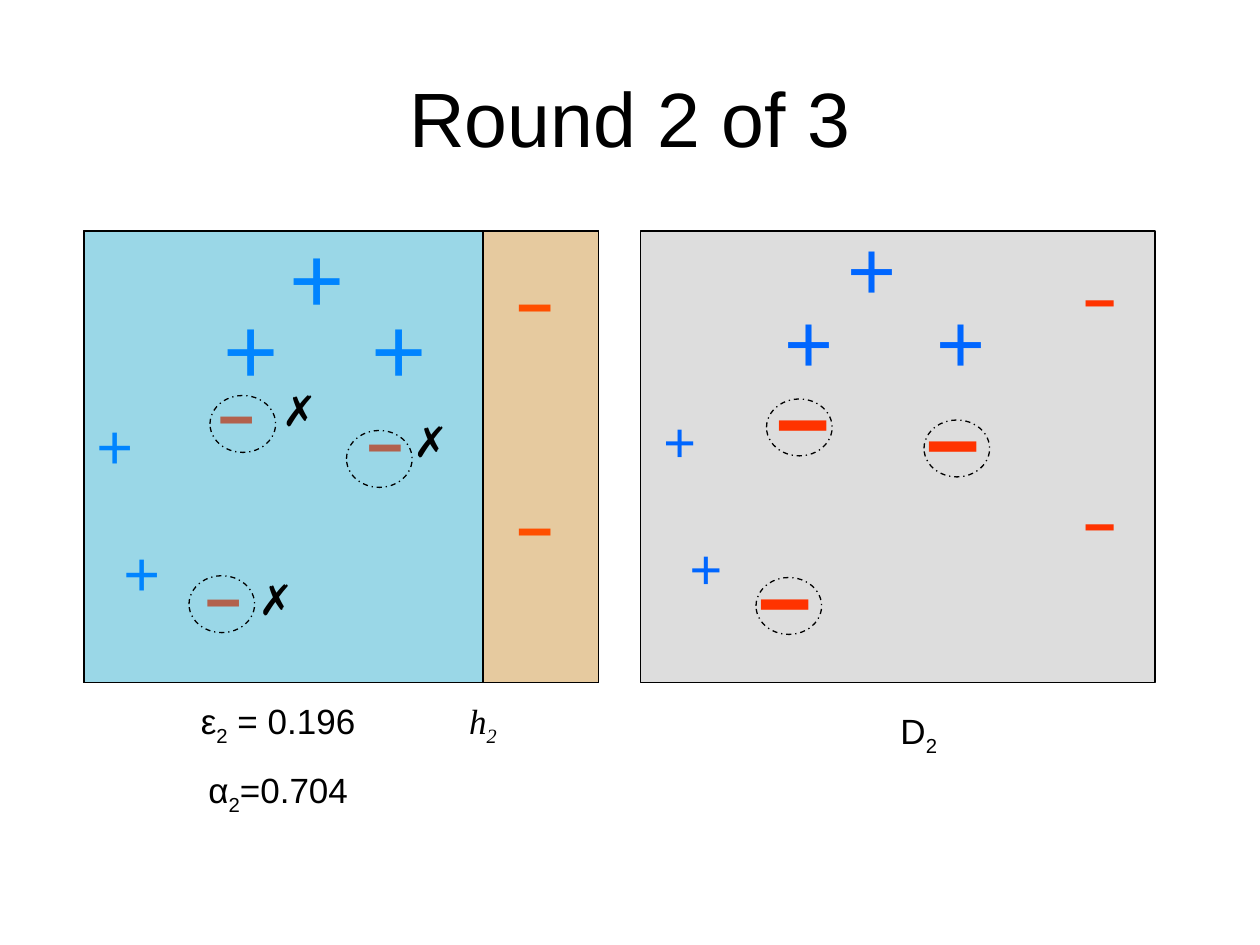
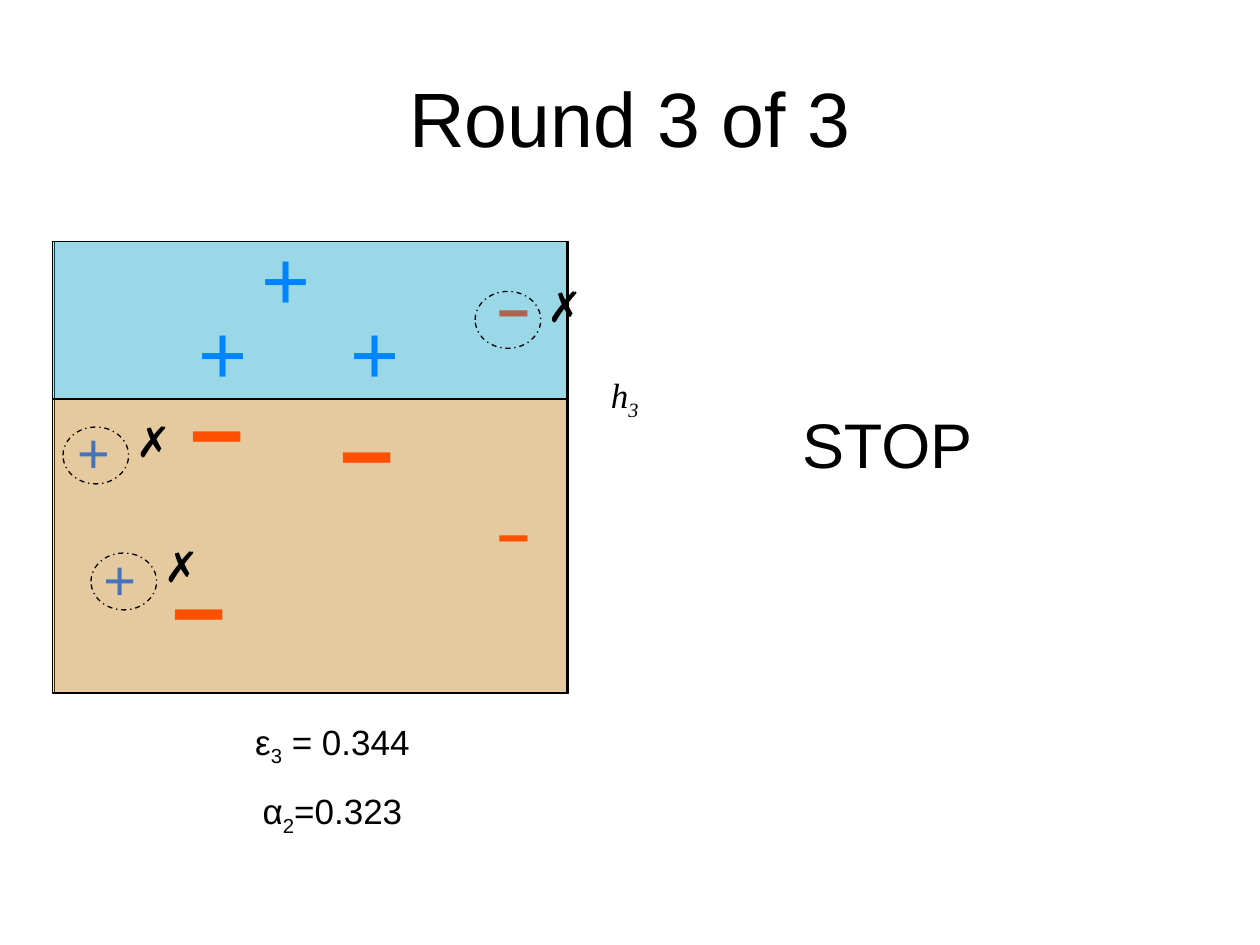
import pptx
import pptx.util
import pptx.dml.color
import pptx.enum.dml
import pptx.enum.shapes
import pptx.enum.text
import pptx.oxml
import pptx.oxml.ns

Pt = pptx.util.Pt
RGB = pptx.dml.color.RGBColor.from_string
qn = pptx.oxml.ns.qn
SHAPES = pptx.enum.shapes.MSO_SHAPE
ALIGN = pptx.enum.text.PP_ALIGN

COLORS = {
    "ink": "000000",
    "panel": "DDDDDD",
    "plus": "0066FF",
    "minus": "FF3300",
    "positive_region": "00CCFF",
    "negative_region": "FF9900",
}

# Text styles: font attributes, colour, alignment and space before
STYLES = {
    "title": {"font": {"name": "Arial", "size": Pt(44)}, "align": ALIGN.CENTER, "gap": 0},
    "label": {"font": {"name": "Arial", "size": Pt(20)}, "align": ALIGN.CENTER, "gap": 12.5},
    "hypothesis": {"font": {"name": "Times New Roman", "size": Pt(20), "italic": True},
                   "align": ALIGN.CENTER, "gap": 12.5},
    "stop": {"font": {"name": "Arial", "size": Pt(36)}, "align": ALIGN.CENTER, "gap": 22.5},
    "cross": {"font": {"name": "Arial", "size": Pt(24)}, "align": ALIGN.LEFT, "gap": 0},
}
for size in (32, 36, 48, 54):
    for sign, bold in (("plus", False), ("minus", True)):
        STYLES[f"{sign}{size}"] = {
            "font": {"name": "Arial", "size": Pt(size), "bold": bold},
            "color": sign, "align": ALIGN.LEFT, "gap": round(size * 0.625, 1),
        }

SIGN_WIDTH = 39
RING_SIZE = (37.5, 32.5)
CROSS_SIZE = (26, 36)
PANEL_SIZE = (294, 258)


def add_text(slide, box, paragraphs, style_name):
    """Each paragraph is a list of strings; every second one is a subscript."""
    style = STYLES[style_name]
    shape = slide.shapes.add_textbox(*map(Pt, box))
    frame = shape.text_frame
    frame.word_wrap = style_name != "cross"
    if style_name == "title":
        frame.vertical_anchor = pptx.enum.text.MSO_ANCHOR.MIDDLE
    else:
        frame.auto_size = pptx.enum.text.MSO_AUTO_SIZE.SHAPE_TO_FIT_TEXT
    for number, parts in enumerate(paragraphs):
        paragraph = frame.add_paragraph() if number else frame.paragraphs[0]
        paragraph.alignment = style["align"]
        paragraph.space_before = Pt(style["gap"])
        for position, part in enumerate(parts):
            run = paragraph.add_run()
            run.text = part
            for attribute, value in style["font"].items():
                setattr(run.font, attribute, value)
            run.font.color.rgb = RGB(COLORS[style.get("color", "ink")])
            if position % 2:
                run._r.get_or_add_rPr().set("baseline", "-25000")


def add_outlined(slide, kind, box, fill=None, opacity=None):
    shape = slide.shapes.add_shape(kind, *map(Pt, box))
    shape.shadow.inherit = False
    shape.line.color.rgb = RGB(COLORS["ink"])
    shape.line.width = Pt(0.75)
    if fill is None:
        shape.fill.background()
        shape.line.dash_style = pptx.enum.dml.MSO_LINE.DASH_DOT
        return
    shape.fill.solid()
    shape.fill.fore_color.rgb = RGB(COLORS[fill])
    if opacity:
        color = shape._element.spPr.find(qn("a:solidFill"))[0]
        alpha = pptx.oxml.parse_xml(
            '<a:alpha xmlns:a="http://schemas.openxmlformats.org/drawingml/2006/main" '
            f'val="{opacity * 1000}"/>')
        color.append(alpha)


# Sample positions inside a panel, per text style
ROUND_ONE_WEIGHTS = {
    "plus54": [(110.5, -10.5), (157, 30), (72.5, 30)],
    "plus36": [(0, 97), (15.5, 169.5)],
    "minus36": [(154.5, 97), (69.5, 80.5), (62, 185.5), (240, 145), (240, 16.5)],
}
ROUND_TWO_WEIGHTS = {
    "plus48": [(111.5, -12), (162, 30), (75.5, 30)],
    "plus32": [(6, 97), (21, 169.5)],
    "minus54": [(156, 84), (70, 72), (60, 174)],
    "minus32": [(246, 145), (246, 16.5)],
}

# Rings carry the offset of their cross, or None for a ring without one
ROUNDS = [
    {
        "title": "Round 2 of 3",
        "panels": [
            {"origin": (48, 132), "samples": ROUND_ONE_WEIGHTS,
             "regions": [("positive_region", (48, 132, 228, 258), 30),
                         ("negative_region", (276, 132, 66, 258), 28)]},
            {"origin": (366, 132), "samples": ROUND_TWO_WEIGHTS, "regions": []},
        ],
        "split": (276, 132, 276, 390),
        "rings": [((120, 226), (34, -10)), ((198, 246), (31, -12)), ((108, 329), (32.5, -5)),
                  ((438, 228), None), ((432, 330), None), ((528, 240), None)],
        "texts": [
            ((498, 402, 54, 34.5), [["D", "2"]], "label"),
            ((246, 396, 60, 34.5), [["h", "2"]], "hypothesis"),
            ((90, 396, 138, 74), [["ε", "2", " = 0.196"], ["α", "2", "=0.704"]], "label"),
        ],
    },
    {
        "title": "Round 3 of 3",
        "panels": [
            {"origin": (31, 138), "samples": ROUND_TWO_WEIGHTS,
             "regions": [("positive_region", (30, 138, 294, 90), 30),
                         ("negative_region", (30, 228, 294, 168), 28)]},
        ],
        "split": (325, 228, 31, 228),
        "rings": [((271.5, 166.5), (34, -10)), ((52, 316), (34.5, -10.5)),
                  ((36, 244), (34.5, -10))],
        "texts": [
            ((336, 210, 42, 34.5), [["h", "3"]], "hypothesis"),
            ((121, 408, 138, 74), [["ε", "3", " = 0.344"], ["α", "2", "=0.323"]], "label"),
            ((408, 228, 198, 50.5), [["STOP"]], "stop"),
        ],
    },
]

presentation = pptx.Presentation()
presentation.slide_width, presentation.slide_height = Pt(720), Pt(540)

for boosting_round in ROUNDS:
    slide = presentation.slides.add_slide(presentation.slide_layouts[6])
    add_text(slide, (36, 21.5, 648, 90), [[boosting_round["title"]]], "title")

    # Panels: weighted samples under translucent decision regions
    for panel in boosting_round["panels"]:
        left, top = panel["origin"]
        add_outlined(slide, SHAPES.RECTANGLE, (left, top, *PANEL_SIZE), "panel")
        for style_name, places in panel["samples"].items():
            symbol = "+" if style_name.startswith("plus") else "−"
            height = STYLES[style_name]["font"]["size"].pt * 1.2 + 7.2
            for x, y in places:
                add_text(slide, (left + x, top + y, SIGN_WIDTH, height), [[symbol]], style_name)
        for fill, box, opacity in panel["regions"]:
            add_outlined(slide, SHAPES.RECTANGLE, box, fill, opacity)

    # Decision boundary
    boundary = slide.shapes.add_connector(
        pptx.enum.shapes.MSO_CONNECTOR.STRAIGHT, *map(Pt, boosting_round["split"]))
    boundary.line.color.rgb = RGB(COLORS["ink"])
    boundary.line.width = Pt(0.75)
    boundary._element.spPr.append(pptx.oxml.parse_xml(
        '<a:effectLst xmlns:a="http://schemas.openxmlformats.org/drawingml/2006/main"/>'))

    # Misclassified samples
    for (x, y), cross_offset in boosting_round["rings"]:
        add_outlined(slide, SHAPES.OVAL, (x, y, *RING_SIZE))
        if cross_offset:
            dx, dy = cross_offset
            add_text(slide, (x + dx, y + dy, *CROSS_SIZE), [["✗"]], "cross")

    # Labels
    for box, paragraphs, style_name in boosting_round["texts"]:
        add_text(slide, box, paragraphs, style_name)

presentation.save("out.pptx")
